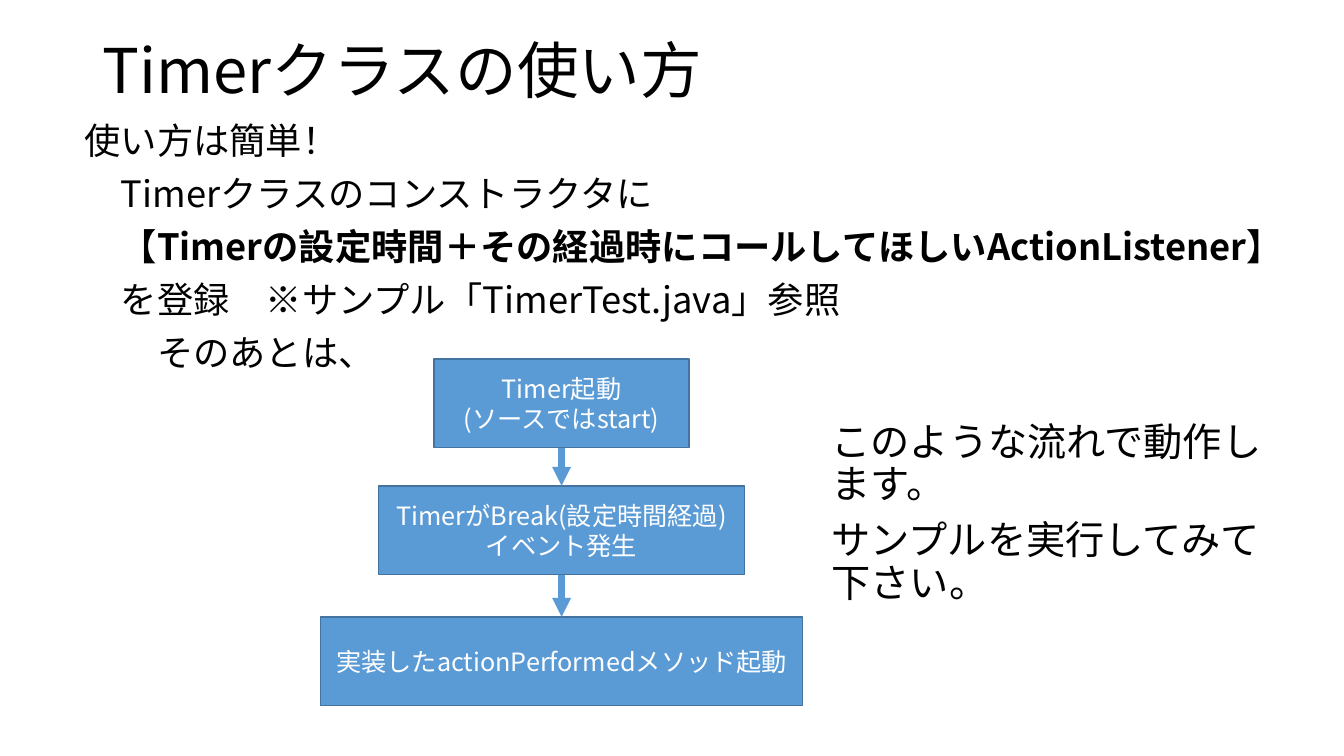
from lxml import etree
from pptx import Presentation
from pptx.dml.color import RGBColor
from pptx.enum.shapes import MSO_CONNECTOR, MSO_SHAPE
from pptx.enum.text import MSO_ANCHOR, MSO_AUTO_SIZE, PP_ALIGN
from pptx.oxml.ns import qn
from pptx.util import Inches, Pt

RECTANGLE = MSO_SHAPE.RECTANGLE
STRAIGHT = MSO_CONNECTOR.STRAIGHT
TOP, MIDDLE = MSO_ANCHOR.TOP, MSO_ANCHOR.MIDDLE
LEFT, CENTER = PP_ALIGN.LEFT, PP_ALIGN.CENTER
FIXED = MSO_AUTO_SIZE.NONE
BOX_TOP, BOX_BOTTOM = 0, 2

FONT = "Noto Sans CJK JP"
COLORS = {"text": "000000", "step": "5B9BD5", "border": "43739E", "step_text": "FFFFFF"}

FLOW_CENTER = 5.57
STEP_HEIGHT = 0.88
# top, width, lines
STEPS = [
    (3.56, 2.53, ["Timer起動", "(ソースではstart)"]),
    (4.82, 3.63, ["TimerがBreak(設定時間経過)イベント発生"]),
    (6.12, 4.78, ["実装したactionPerformedメソッド起動"]),
]
# first-line indent in characters, text, bold
USAGE = [
    (0, "使い方は簡単！", False),
    (1, "Timerクラスのコンストラクタに", False),
    (1, "【Timerの設定時間＋その経過時にコールしてほしいActionListener】", True),
    (1, "を登録　※サンプル「TimerTest.java」参照", False),
    (2, "そのあとは、", False),
]
CLOSING = [
    (0, "このような流れで動作します。", False),
    (0, "サンプルを実行してみて下さい。", False),
]


def rgb(name):
    return RGBColor.from_string(COLORS[name])


class SlideBuilder:
    def __init__(self, slide):
        self.slide = slide

    def fill_text(self, frame, paragraphs, size, color="text", align=LEFT,
                  anchor=TOP, line_spacing=0.9, space_before=10):
        """Fill a frame with (first-line indent, text, bold) paragraphs."""
        frame.word_wrap = True
        frame.auto_size = FIXED
        frame.vertical_anchor = anchor
        for index, (indent, text, bold) in enumerate(paragraphs):
            paragraph = frame.add_paragraph() if index else frame.paragraphs[0]
            paragraph.alignment = align
            paragraph.line_spacing = line_spacing
            paragraph.space_before = Pt(space_before)
            if indent:
                properties = paragraph._p.get_or_add_pPr()
                properties.set("marL", "0")
                properties.set("indent", str(Pt(indent * size)))
            run = paragraph.add_run()
            run.text = text
            run.font.size = Pt(size)
            run.font.bold = bold
            run.font.name = FONT
            run.font.color.rgb = rgb(color)
            east_asian = etree.SubElement(run._r.get_or_add_rPr(), qn("a:ea"))
            east_asian.set("typeface", FONT)

    def title(self, text, left, top, width, height):
        title = self.slide.shapes.title
        title.left, title.top = Inches(left), Inches(top)
        title.width, title.height = Inches(width), Inches(height)
        self.fill_text(title.text_frame, [(0, text, False)], 44,
                       anchor=MIDDLE, space_before=0)

    def text(self, paragraphs, size, left, top, width, height):
        box = self.slide.shapes.add_textbox(
            Inches(left), Inches(top), Inches(width), Inches(height))
        self.fill_text(box.text_frame, paragraphs, size)

    def step(self, top, width, lines):
        box = self.slide.shapes.add_shape(
            RECTANGLE, Inches(FLOW_CENTER - width / 2), Inches(top),
            Inches(width), Inches(STEP_HEIGHT))
        box.shadow.inherit = False
        box.fill.solid()
        box.fill.fore_color.rgb = rgb("step")
        box.line.color.rgb = rgb("border")
        box.line.width = Pt(1)
        self.fill_text(box.text_frame, [(0, line, False) for line in lines], 18,
                       "step_text", CENTER, MIDDLE, line_spacing=1.0, space_before=0)
        return box

    def arrow(self, upper, lower):
        arrow = self.slide.shapes.add_connector(STRAIGHT, 0, 0, 0, 0)
        arrow.begin_connect(upper, BOX_BOTTOM)
        arrow.end_connect(lower, BOX_TOP)
        arrow.line.color.rgb = rgb("step")
        arrow.line.width = Pt(4.5)
        properties = arrow._element.spPr
        head = etree.SubElement(properties.find(qn("a:ln")), qn("a:tailEnd"))
        head.set("type", "triangle")
        etree.SubElement(properties, qn("a:effectLst"))


def main():
    presentation = Presentation()
    presentation.slide_width = Inches(13.33)
    presentation.slide_height = Inches(7.5)
    title_only = presentation.slide_layouts[5]
    builder = SlideBuilder(presentation.slides.add_slide(title_only))

    builder.title("Timerクラスの使い方", 0.92, 0, 11.5, 1.45)
    builder.text(USAGE, 25.9, 0.74, 1.17, 12.4, 2.88)
    steps = [builder.step(*step) for step in STEPS]
    for upper, lower in zip(steps, steps[1:]):
        builder.arrow(upper, lower)
    builder.text(CLOSING, 28, 8.15, 4.14, 4.78, 2.25)

    presentation.save("out.pptx")


if __name__ == "__main__":
    main()
